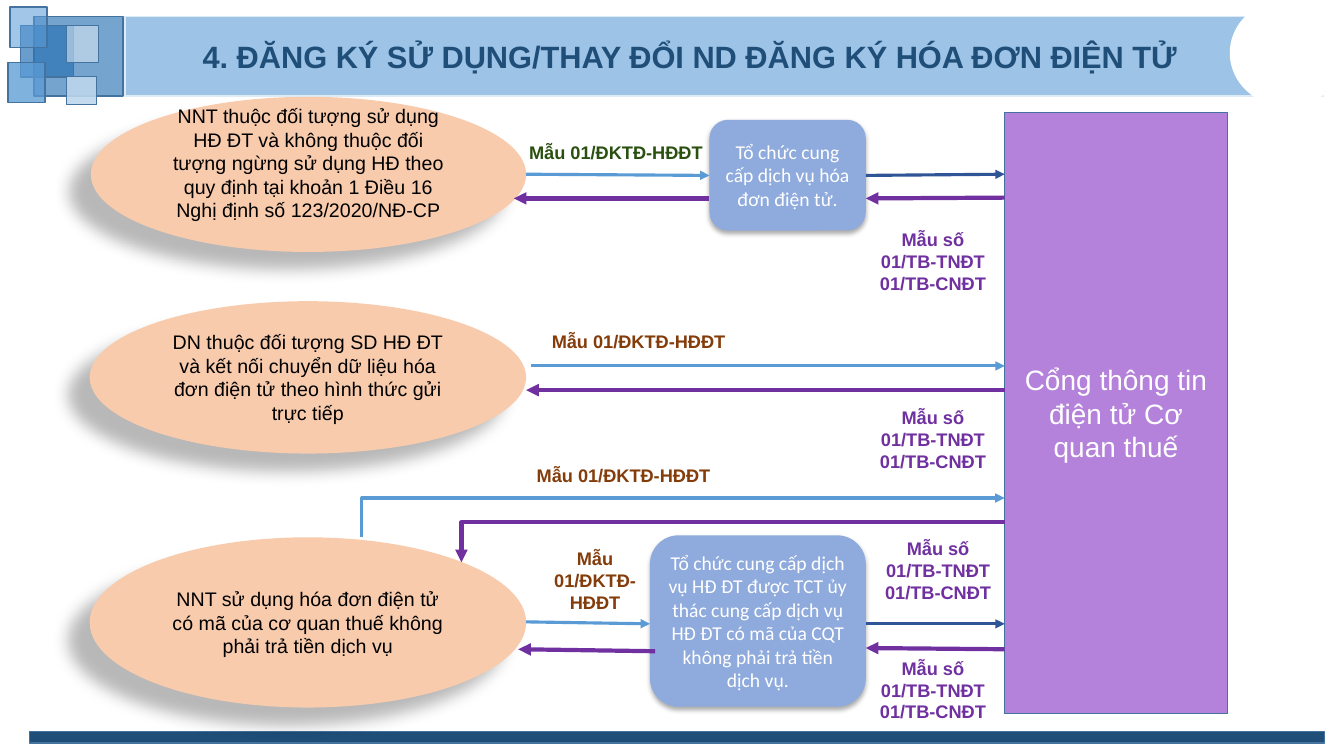
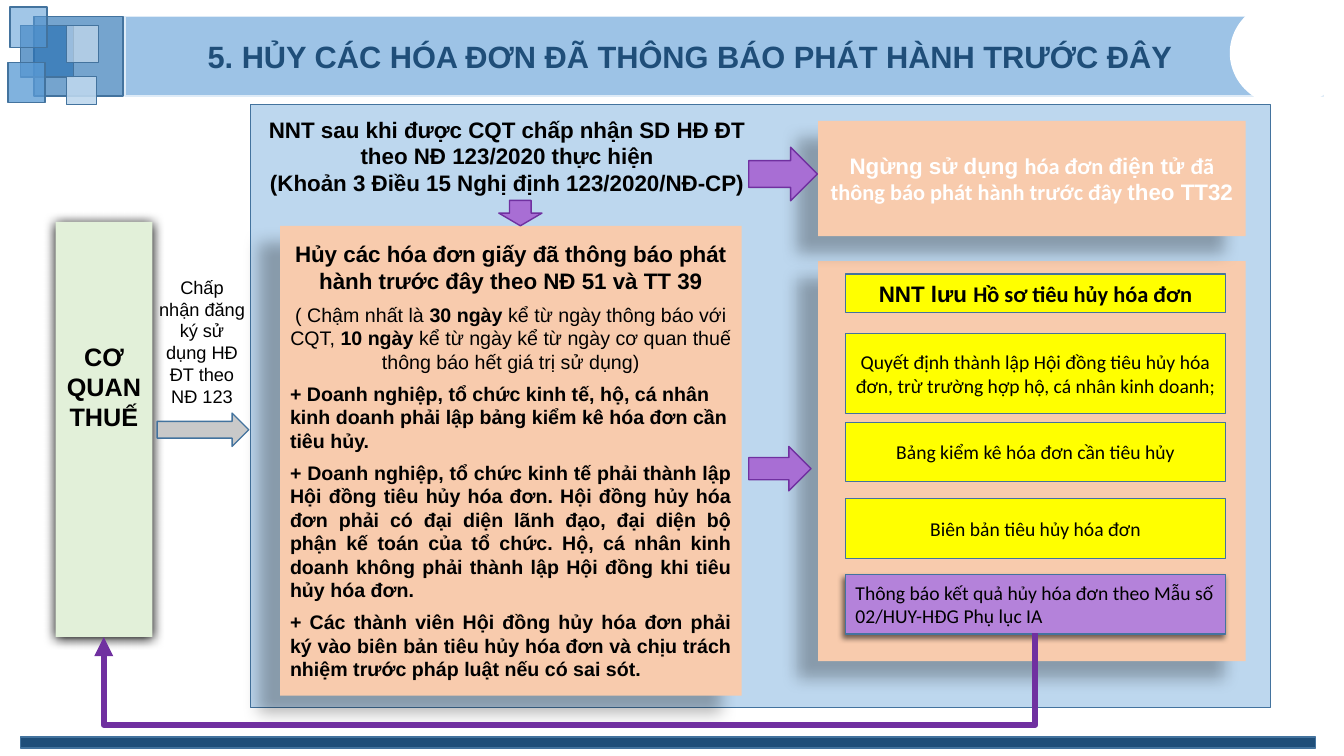
"""Build two slides on registering and cancelling electronic invoices."""
from lxml import etree
from pptx import Presentation
from pptx.dml.color import RGBColor
from pptx.enum.shapes import MSO_CONNECTOR, MSO_SHAPE
from pptx.enum.text import MSO_ANCHOR, MSO_AUTO_SIZE, PP_ALIGN
from pptx.oxml.ns import qn
from pptx.util import Cm, Pt

RECT, ROUNDED, OVAL = MSO_SHAPE.RECTANGLE, MSO_SHAPE.ROUNDED_RECTANGLE, MSO_SHAPE.OVAL
RIGHT_ARROW, DOWN_ARROW = MSO_SHAPE.RIGHT_ARROW, MSO_SHAPE.DOWN_ARROW
STRAIGHT, ELBOW = MSO_CONNECTOR.STRAIGHT, MSO_CONNECTOR.ELBOW
LEFT, CENTER, JUSTIFY = PP_ALIGN.LEFT, PP_ALIGN.CENTER, PP_ALIGN.JUSTIFY
TOP, MIDDLE = MSO_ANCHOR.TOP, MSO_ANCHOR.MIDDLE

BLACK = RGBColor(0x00, 0x00, 0x00)
WHITE = RGBColor(0xFF, 0xFF, 0xFF)
NAVY = RGBColor(0x1F, 0x4E, 0x79)
OUTLINE = RGBColor(0x43, 0x73, 0x9E)
DEEP_BLUE = RGBColor(0x2E, 0x75, 0xB6)
ROYAL = RGBColor(0x2F, 0x55, 0x97)
BLUE = RGBColor(0x5B, 0x9B, 0xD5)
BAND_BLUE = RGBColor(0x9D, 0xC3, 0xE6)
LIGHT_BLUE = RGBColor(0xBD, 0xD7, 0xEE)
PALE_BLUE = RGBColor(0xDE, 0xEB, 0xF7)
PERIWINKLE = RGBColor(0x8F, 0xAA, 0xDC)
PEACH = RGBColor(0xF8, 0xCB, 0xAD)
LILAC = RGBColor(0xB4, 0x82, 0xDA)
VIOLET = RGBColor(0xA8, 0x6E, 0xD4)
PURPLE = RGBColor(0x70, 0x30, 0xA0)
BROWN = RGBColor(0x84, 0x3C, 0x0B)
GREEN = RGBColor(0x2A, 0x50, 0x10)
PALE_GREEN = RGBColor(0xE2, 0xF0, 0xD9)
YELLOW = RGBColor(0xFF, 0xFF, 0x00)
GRAY = RGBColor(0xC9, 0xC9, 0xC9)

CAST_SHADOW = (28, 11.8, 19.7, 141)
SOFT_SHADOW = (32, 3.5, 2.2, 90)
DARK_SHADOW = (100, 8.5, 1, 90)
NOTE_SHADOW = (55, 4, 3, 135)


def add_box(page, kind, place, fill=None, line=None, opacity=100, shadow=None, texts=(),
            size=14, font="Arial", color=BLACK, bold=False, align=CENTER):
    """Add a shape, or a text box when kind is None, with uniform text."""
    lengths = [Cm(value) for value in place]
    if kind is None:
        box = page.shapes.add_textbox(*lengths)
    else:
        box = page.shapes.add_shape(kind, *lengths)
        box.shadow.inherit = False
        box.fill.solid()
        box.fill.fore_color.rgb = fill
        if opacity < 100:
            tint = box.fill._xPr.find(".//" + qn("a:srgbClr"))
            etree.SubElement(tint, qn("a:alpha"), val=str(opacity * 1000))
        if line is None:
            box.line.fill.background()
        else:
            box.line.color.rgb = line
            box.line.width = Pt(1)
    if shadow:
        alpha, blur, distance, angle = shadow
        effects = box._element.spPr.find(qn("a:effectLst"))
        outer = etree.SubElement(effects, qn("a:outerShdw"), blurRad=str(Pt(blur)),
                                 dist=str(Pt(distance)), dir=str(angle * 60000),
                                 algn="ctr", rotWithShape="0")
        shade = etree.SubElement(outer, qn("a:srgbClr"), val=str(BLACK))
        etree.SubElement(shade, qn("a:alpha"), val=str(alpha * 1000))
    frame = box.text_frame
    frame.word_wrap = True
    frame.vertical_anchor = TOP if kind is None else MIDDLE
    for index, text in enumerate(texts):
        para = frame.paragraphs[0] if index == 0 else frame.add_paragraph()
        para.alignment = align
        para.font.size, para.font.name, para.font.bold = Pt(size), font, bold
        para.font.color.rgb = color
        for part in [text] if isinstance(text, str) else text:
            para.add_run().text = part
    return box


def add_arrow(page, kind, ends, color, width, tip="a:tailEnd"):
    """Add a connector with one triangular tip."""
    arrow = page.shapes.add_connector(kind, *[Cm(value) for value in ends])
    arrow.line.color.rgb = color
    arrow.line.width = Pt(width)
    etree.SubElement(arrow.line._get_or_add_ln(), qn(tip), type="triangle")
    etree.SubElement(arrow._element.spPr, qn("a:effectLst"))
    return arrow


deck = Presentation()
deck.slide_width, deck.slide_height = Cm(33.87), Cm(19.05)

decorations = [
    (RECT, (0.86, 0.41, 2.24, 2.01), DEEP_BLUE, OUTLINE, 66),
    (RECT, (3.15, 0.41, 30.2, 2.01), BAND_BLUE, PALE_BLUE, 100),
    (RECT, (0.51, 0.64, 1.35, 1.3), DEEP_BLUE, OUTLINE, 71),
    (RECT, (0.25, 0.18, 0.94, 1.02), BLUE, OUTLINE, 57),
    (RECT, (0.2, 1.57, 0.94, 1.02), BLUE, OUTLINE, 77),
    (RECT, (1.68, 1.93, 0.76, 0.71), LIGHT_BLUE, OUTLINE, 89),
    (RECT, (1.68, 0.64, 0.81, 0.94), PALE_BLUE, OUTLINE, 56),
    (OVAL, (31.01, 0, 2.87, 2.67), WHITE, WHITE, 100),
]
headings = [
    ("4. ĐĂNG KÝ SỬ DỤNG/THAY ĐỔI ND ĐĂNG KÝ HÓA ĐƠN ĐIỆN TỬ", 0.74, 18.44),
    ("5. HỦY CÁC HÓA ĐƠN ĐÃ THÔNG BÁO PHÁT HÀNH TRƯỚC ĐÂY", 0.51, 18.57),
]
pages = []
for heading, footer_left, footer_top in headings:
    page = deck.slides.add_slide(deck.slide_layouts[5])
    for decoration in decorations:
        add_box(page, *decoration)
    add_box(page, RECT, (footer_left, footer_top, 32.64, 0.28), NAVY, OUTLINE)
    title = page.shapes.title
    page.shapes._spTree.append(title._element)
    title.left, title.top, title.width, title.height = Cm(3.63), Cm(0.81), Cm(27.51), Cm(1.19)
    title.text_frame.text = heading
    title.text_frame.auto_size = MSO_AUTO_SIZE.NONE
    title.text_frame.vertical_anchor = MIDDLE
    para = title.text_frame.paragraphs[0]
    para.alignment = CENTER
    para.font.size, para.font.name, para.font.bold = Pt(22), "Arial", True
    para.font.color.rgb = NAVY
    pages.append(page)
register_page, cancel_page = pages

taxpayers = [
    ((2.29, 2.44, 10.97, 3.91), 0.71,
     "NNT thuộc đối tượng sử dụng HĐ ĐT và không thuộc đối tượng ngừng sử dụng HĐ theo "
     "quy định tại khoản 1 Điều 16 Nghị định số 123/2020/NĐ-CP"),
    ((2.26, 7.59, 11, 3.84), 0.13,
     "DN thuộc đối tượng SD HĐ ĐT và kết nối chuyển dữ liệu hóa đơn điện tử theo hình "
     "thức gửi trực tiếp"),
    ((2.26, 13.54, 11, 4.29), 0.13,
     "NNT sử dụng hóa đơn điện tử có mã của cơ quan thuế không phải trả tiền dịch vụ"),
]
for place, bottom_margin, text in taxpayers:
    box = add_box(register_page, OVAL, place, PEACH, shadow=CAST_SHADOW, texts=[text])
    box.text_frame.margin_bottom = Cm(bottom_margin)

providers = [
    ((17.88, 3.02, 3.94, 2.79), "Tổ chức cung cấp dịch vụ hóa đơn điện tử."),
    ((16.38, 13.49, 5.44, 4.32),
     "Tổ chức cung cấp dịch vụ HĐ ĐT được TCT ủy thác cung cấp dịch vụ HĐ ĐT có mã của "
     "CQT không phải trả tiền dịch vụ."),
]
for place, text in providers:
    add_box(register_page, ROUNDED, place, PERIWINKLE, shadow=SOFT_SHADOW, texts=[text],
            font="Calibri", color=WHITE)
add_box(register_page, RECT, (25.32, 2.84, 5.61, 15.14), LILAC, OUTLINE,
        texts=["Cổng thông tin điện tử Cơ quan thuế"], size=20, color=WHITE)

flows = [
    (BLUE, 2.25, [(13.26, 4.39, 17.88, 4.42), (13.39, 9.22, 25.32, 9.22),
                  (13.26, 15.67, 16.38, 15.72)]),
    (ROYAL, 2.25, [(21.82, 4.42, 25.32, 4.39), (21.82, 15.72, 25.32, 15.72)]),
    (PURPLE, 3, [(25.32, 4.98, 21.82, 5), (17.88, 5, 12.95, 5), (25.32, 9.83, 13.26, 9.83),
                 (25.32, 16.36, 21.82, 16.33), (16.51, 16.41, 13.06, 16.36)]),
]
for color, width, routes in flows:
    for route in routes:
        add_arrow(register_page, STRAIGHT, route, color, width)
corners = [
    ((25.32, 12.55, 9.12, 13.54), BLUE, 2.25, "a:headEnd"),
    ((25.32, 13.16, 11.63, 14.17), PURPLE, 3, "a:tailEnd"),
]
for corner in corners:
    arrow = add_arrow(register_page, ELBOW, *corner)
    arrow._element.spPr.find(qn("a:prstGeom")).set("prst", "bentConnector2")

request_labels = [
    ((12.98, 3.43, 5.08, 0.81), GREEN),
    ((13.46, 8.2, 5.26, 0.81), BROWN),
    ((13.08, 11.58, 5.26, 0.81), BROWN),
    ((13.61, 13.67, 2.77, 1.93), BROWN),
]
for place, color in request_labels:
    add_box(register_page, None, place, texts=["Mẫu 01/ĐKTĐ-HĐĐT"], size=13, color=color,
            bold=True)
for left, top in [(21.82, 5.64), (21.82, 10.11), (21.95, 13.41), (21.82, 16.43)]:
    add_box(register_page, None, (left, top, 3.38, 1.93), size=13, color=PURPLE, bold=True,
            texts=["Mẫu số 01/TB-TNĐT", "01/TB-CNĐT"])

add_box(cancel_page, RECT, (6.32, 2.64, 25.7, 15.19), LIGHT_BLUE, OUTLINE)
add_box(cancel_page, RECT, (20.62, 6.58, 10.77, 10.08), PEACH, shadow=CAST_SHADOW)
office = add_box(cancel_page, RECT, (1.4, 5.59, 2.44, 10.46), PALE_GREEN, shadow=DARK_SHADOW,
                 texts=["CƠ QUAN THUẾ"], size=18, bold=True)
office.text_frame.margin_bottom = Cm(2.3)

steps = add_box(cancel_page, RECT, (7.06, 5.69, 11.63, 11.84), PEACH, shadow=CAST_SHADOW, texts=[
    "Hủy các hóa đơn giấy đã thông báo phát hành trước đây theo NĐ 51 và TT 39",
    ("( Chậm nhất là ", "30 ngày ", "kể từ ngày thông báo với CQT, ", "10 ngày ",
     "kể từ ngày kể từ ngày cơ quan thuế thông báo hết giá trị sử dụng)"),
    "+ Doanh nghiệp, tổ chức kinh tế, hộ, cá nhân kinh doanh phải lập bảng kiểm kê hóa đơn "
    "cần tiêu hủy.",
    "+ Doanh nghiệp, tổ chức kinh tế phải thành lập Hội đồng tiêu hủy hóa đơn. Hội đồng hủy "
    "hóa đơn phải có đại diện lãnh đạo, đại diện bộ phận kế toán của tổ chức. Hộ, cá nhân "
    "kinh doanh không phải thành lập Hội đồng khi tiêu hủy hóa đơn.",
    "+ Các thành viên Hội đồng hủy hóa đơn phải ký vào biên bản tiêu hủy hóa đơn và chịu "
    "trách nhiệm trước pháp luật nếu có sai sót.",
], bold=True)
paras = steps.text_frame.paragraphs
paras[0].font.size = Pt(16)
paras[1].font.bold = False
for span in paras[1].runs[1::2]:
    span.font.bold = True
for para, align in zip(paras[2:], (LEFT, JUSTIFY, JUSTIFY)):
    para.alignment = align
for para in paras[1:]:
    para.space_before = Pt(6)

add_box(cancel_page, None, (3.73, 6.83, 2.72, 3.58), size=13,
        texts=["Chấp nhận đăng ký sử dụng HĐ ĐT theo NĐ 123"])
add_box(cancel_page, None, (6.38, 2.79, 12.8, 2.31), size=16, bold=True,
        texts=["NNT sau khi được CQT chấp nhận SD HĐ ĐT theo NĐ 123/2020 thực hiện",
               "(Khoản 3 Điều 15 Nghị định 123/2020/NĐ-CP)"])

records = [
    (8.41, 2.01, "Quyết định thành lập Hội đồng tiêu hủy hóa đơn, trừ trường hợp hộ, cá nhân "
                 "kinh doanh;"),
    (10.64, 1.5, "Bảng kiểm kê hóa đơn cần tiêu hủy"),
    (12.57, 1.5, "Biên bản tiêu hủy hóa đơn"),
]
for top, height, text in records:
    add_box(cancel_page, RECT, (21.31, top, 9.58, height), YELLOW, OUTLINE, texts=[text],
            font="Calibri")
add_box(cancel_page, RECT, (21.31, 14.48, 9.58, 1.5), LILAC, OUTLINE, shadow=NOTE_SHADOW,
        texts=["Thông báo kết quả hủy hóa đơn theo Mẫu số 02/HUY-HĐG Phụ lục IA"],
        font="Calibri", align=LEFT)

file_heading = add_box(cancel_page, RECT, (21.31, 6.91, 9.58, 0.97), YELLOW, OUTLINE, size=16,
                       bold=True, texts=[("NNT lưu ", "Hồ sơ tiêu hủy hóa đơn")])
stop_notice = add_box(cancel_page, RECT, (20.62, 3.05, 10.77, 2.9), PEACH, shadow=CAST_SHADOW,
                      size=16, bold=True, color=WHITE,
                      texts=[("Ngừng sử dụng ", "hóa đơn ", "điện tử ",
                              "đã thông báo phát hành trước đây ", "theo TT32")])
for box in (file_heading, stop_notice):
    for span in box.text_frame.paragraphs[0].runs[1::2]:
        span.font.name = "Calibri"

block_arrows = [
    (RIGHT_ARROW, (18.87, 3.71, 1.73, 1.35), VIOLET, PURPLE),
    (DOWN_ARROW, (12.57, 5.05, 1.09, 0.64), VIOLET, PURPLE),
    (RIGHT_ARROW, (18.87, 11.25, 1.57, 1.12), VIOLET, PURPLE),
    (RIGHT_ARROW, (3.96, 10.41, 2.31, 0.84), GRAY, OUTLINE),
]
for block_arrow in block_arrows:
    add_box(cancel_page, *block_arrow)

report_arrow = add_arrow(cancel_page, ELBOW, (14.3, 4.27, 14.4, 27.74), PURPLE, 4.5)
properties = report_arrow._element.spPr
properties.find(qn("a:xfrm")).set("rot", "5400000")
guides = properties.find(qn("a:prstGeom")).get_or_add_avLst()
etree.SubElement(guides, qn("a:gd"), name="adj1", fmla="val 2310000")

deck.save("out.pptx")
